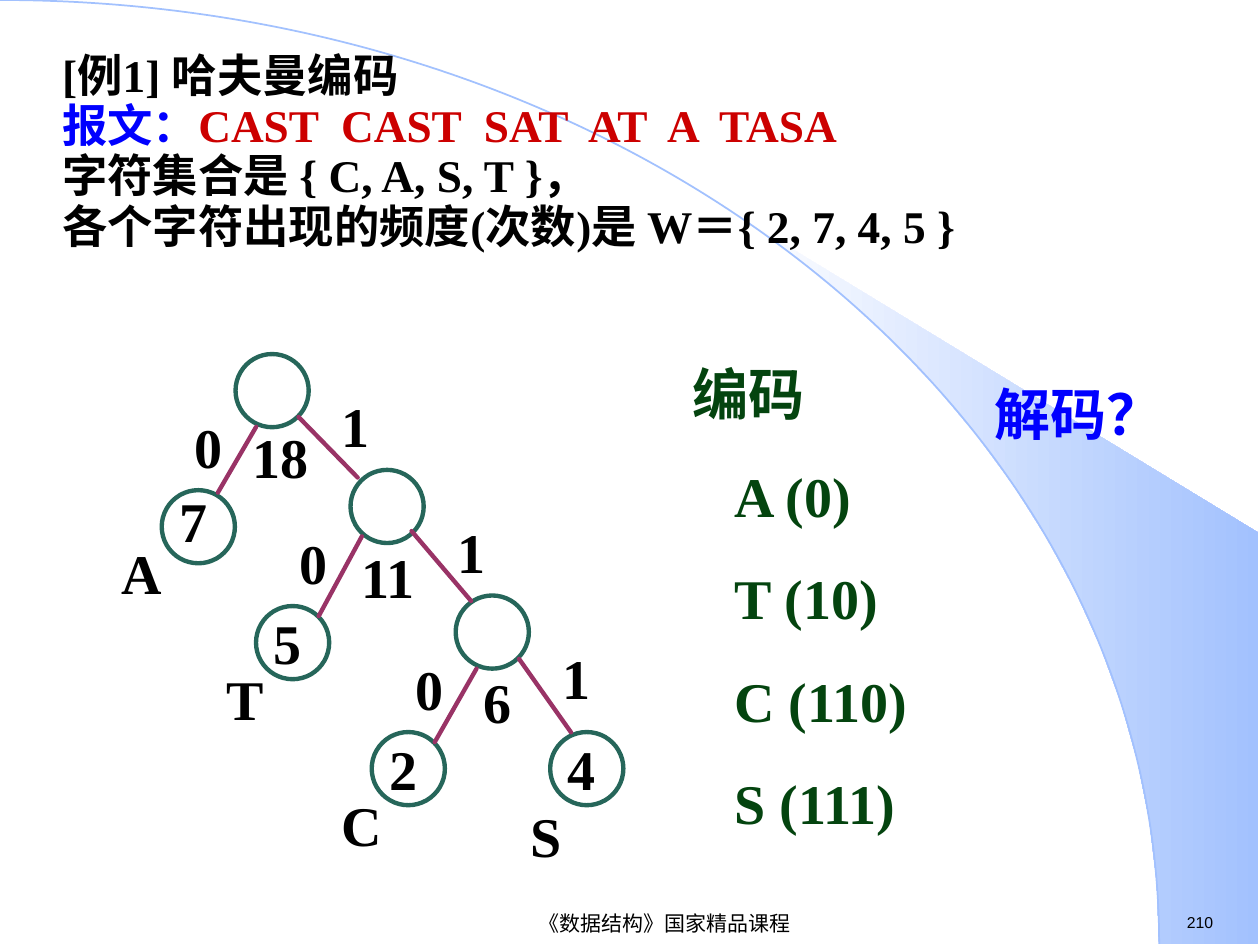
from pptx import Presentation
from pptx.dml.color import RGBColor
from pptx.enum.shapes import MSO_CONNECTOR, MSO_SHAPE
from pptx.enum.text import MSO_ANCHOR, PP_ALIGN
from pptx.oxml.ns import qn
from pptx.util import Pt
from lxml import etree

ELLIPSE = MSO_SHAPE.OVAL
STRAIGHT = MSO_CONNECTOR.STRAIGHT
CENTER = PP_ALIGN.CENTER
MIDDLE = MSO_ANCHOR.MIDDLE

COLORS = {
    "black": "000000", "white": "FFFFFF", "blue": "0000FF", "red": "CC0000",
    "sky": "A2C1FE", "ring": "26665A", "edge": "993366", "code": "04440F",
}
SERIF, SANS = "Times New Roman", "Arial"
NODE = 41.8  # node diameter
LINE = 2.5   # width of rings and edges

# Tree parts, relative to the tree box
INNER_NODES = [  # node, weight, weight place
    ((72, 0), "18", (81.6, 39)),
    ((137.7, 66.2), "11", (144, 107.5)),
    ((197.8, 138), "6", (213.8, 179.2)),
]
LEAVES = [  # node, weight, line spacing, letter, letter place
    ((29.8, 77.8), "7", 1.0, "A", (0, 101.8)),
    ((83.7, 144), "5", 1.1, "T", (59.8, 173.8)),
    ((149.8, 216), "2", 1.1, "C", (125.7, 245.8)),
    ((251.8, 216), "4", 1.1, "S", (233.7, 252)),
]
EDGES = [  # start, end, bit, bit place
    ((83.8, 41.6), (61.9, 79.2), "0", (29.5, 29.8)),
    ((108, 36), (141.8, 70.6), "1", (113.8, 18)),
    ((144.2, 104.2), (119.5, 149.8), "0", (89.7, 96.1)),
    ((172.6, 101.2), (206.6, 141.1), "1", (180, 90)),
    ((209.7, 179.8), (185.8, 221.8), "0", (155.8, 168.1)),
    ((234, 174.2), (263.7, 216.2), "1", (239.8, 162)),
]


def rgb(name):
    return RGBColor.from_string(COLORS[name])


def style(span, size, color, font=SERIF, bold=True):
    span.font.size = Pt(size)
    span.font.name = font
    span.font.bold = bold
    span.font.color.rgb = rgb(color)


def set_indent(para, left, first=0):
    properties = para._p.get_or_add_pPr()
    properties.set("marL", str(Pt(left)))
    properties.set("indent", str(Pt(first)))


def add_frame(page, box, inset=True):
    frame = page.shapes.add_textbox(*map(Pt, box)).text_frame
    frame.word_wrap = True
    side, end = (7.2, 3.6) if inset else (0, 0)
    frame.margin_left = frame.margin_right = Pt(side)
    frame.margin_top = frame.margin_bottom = Pt(end)
    return frame


def add_label(page, box, text, color="black", size=32, font=SERIF, bold=True,
              align=None, spacing=None, inset=True):
    frame = add_frame(page, box, inset)
    para = frame.paragraphs[0]
    para.text = text
    para.alignment = align
    para.line_spacing = spacing
    style(para.runs[0], size, color, font, bold)
    return frame


def add_outline(page, points, close):
    (x, y), *rest = [(Pt(px), Pt(py)) for px, py in points]
    builder = page.shapes.build_freeform(x, y)
    builder.add_line_segments(rest, close=close)
    shape = builder.convert_to_shape()
    shape.shadow.inherit = False
    return shape


def add_background(page, box):
    """Large arc with a shaded wedge between it and the right edge."""
    left, top, width, height = box
    arc_width = 662.4
    controls = [(365.8, 0), (arc_width, 241.2), (arc_width, height)]

    def arc_point(t):
        weights = (3 * (1 - t) ** 2 * t, 3 * (1 - t) * t * t, t ** 3)
        x, y = (sum(w * c[axis] for w, c in zip(weights, controls)) for axis in (0, 1))
        return left + x, top + y

    # Wedge along the lower part of the arc
    right, bottom = left + width, top + height
    side = [arc_point(step / 100) for step in range(44, 101, 4)]
    wedge = add_outline(page, side + [(right, bottom), (right, 304.6)], True)
    wedge.line.fill.background()
    wedge.fill.gradient()
    wedge.fill.gradient_angle = 0
    for stop, color in zip(wedge.fill.gradient_stops, ("white", "sky")):
        stop.color.rgb = rgb(color)

    # Arc as one Bezier segment
    curve = add_outline(page, [(left, top), arc_point(1)], False)
    segment = curve._element.spPr.find(".//" + qn("a:lnTo"))
    bezier = etree.Element(qn("a:cubicBezTo"))
    for x, y in controls:
        etree.SubElement(bezier, qn("a:pt"), x=str(Pt(x)), y=str(Pt(y)))
    segment.getparent().replace(segment, bezier)
    curve.fill.background()
    curve.line.color.rgb = rgb("sky")
    curve.line.width = Pt(1)


def add_footer(page, box):
    left, top, width, height = box
    add_label(page, (left + 498.4, top - 0.9, 55.4, 18), "210",
              size=9, font=SANS, bold=False)
    course = add_label(page, (left, top, 414, height), "《数据结构》国家精品课程",
                       size=12, font=SANS, bold=False, align=CENTER)
    course.vertical_anchor = MIDDLE


def add_message(page, box):
    lines = [
        [("[例1] 哈夫曼编码", "black")],
        [("报文：", "blue"), ("CAST  CAST  SAT  AT  A  TASA", "red")],
        [("字符集合是 { C, A, S, T }，", "black")],
        [("各个字符出现的频度(次数)是 W＝{ 2, 7, 4, 5 }", "black")],
    ]
    frame = add_frame(page, box)
    for index, parts in enumerate(lines):
        para = frame.add_paragraph() if index else frame.paragraphs[0]
        set_indent(para, 27, -27)
        para.line_spacing = 0.7
        if index:
            para.space_before = Pt(7)
        for text, color in parts:
            span = para.add_run()
            span.text = text
            style(span, 25.9, color)


def add_tree(page, box):
    left, top = box[:2]

    def place(point, width, height):
        return left + point[0], top + point[1], width, height

    # Node rings
    for node in [row[0] for row in LEAVES + INNER_NODES]:
        ring = page.shapes.add_shape(ELLIPSE, *map(Pt, place(node, NODE, NODE)))
        ring.shadow.inherit = False
        ring.fill.background()
        ring.line.color.rgb = rgb("ring")
        ring.line.width = Pt(LINE)

    # Leaf weights and letters
    for (x, y), weight, spacing, letter, letter_place in LEAVES:
        add_label(page, place((x + 2.9, y - 5.8), NODE, 48), weight, spacing=spacing)
        add_label(page, place(letter_place, 48, 46), letter)

    # Weights below the inner nodes
    for _, weight, weight_place in INNER_NODES:
        add_label(page, place(weight_place, 34, 38), weight, inset=False)

    # Edges with their bits
    for start, end, bit, bit_place in EDGES:
        ends = place(start, left + end[0], top + end[1])
        edge = page.shapes.add_connector(STRAIGHT, *map(Pt, ends))
        edge.line.color.rgb = rgb("edge")
        edge.line.width = Pt(LINE)
        edge.line._get_or_add_ln().set("cap", "rnd")
        etree.SubElement(edge._element.spPr, qn("a:effectLst"))
        add_label(page, place(bit_place, 54, 46), bit, align=CENTER)


def add_codes(page, box):
    frame = add_label(page, box, "编码", "code")
    for code in ("A (0)", "T (10)", "C (110)", "S (111)"):
        para = frame.add_paragraph()
        para.text = code
        set_indent(para, 24)
        para.space_before = Pt(20)
        style(para.runs[0], 32, "code")


def main():
    deck = Presentation()
    deck.slide_width, deck.slide_height = Pt(720), Pt(540)
    page = deck.slides.add_slide(deck.slide_layouts[6])
    add_background(page, (0, 0, 719.3, 539.3))
    add_footer(page, (172.8, 519.1, 553.6, 17.3))
    add_message(page, (28.5, 31.8, 623.5, 161.3))
    add_tree(page, (62.6, 202.3, 293.8, 298))
    add_codes(page, (388.5, 201.8, 185.8, 279.4))
    add_label(page, (561.2, 213.1, 121.7, 45.4), "解码？", "blue")
    deck.save("out.pptx")


if __name__ == "__main__":
    main()
